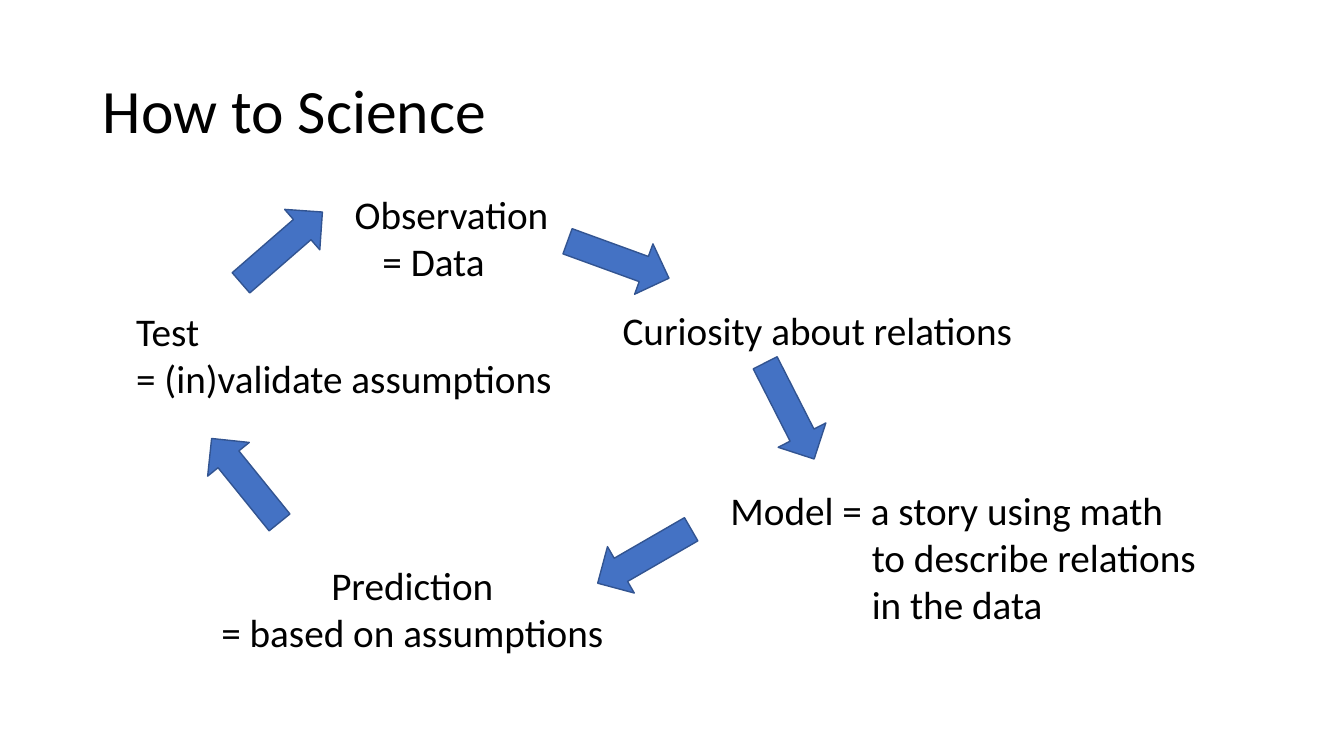
from pptx import Presentation
from pptx.dml.color import RGBColor as Rgb
from pptx.enum.shapes import MSO_SHAPE as Shape
from pptx.enum.text import MSO_ANCHOR as Anchor, MSO_AUTO_SIZE as Fit, PP_ALIGN as Align
from pptx.util import Cm, Pt

COLORS = {"text": "000000", "fill": "4472C4", "edge": "325491", "back": "FFFFFF"}


class Deck:
    """Holds the style and the current slide."""

    font = "Calibri"
    arrow_size = (2.72, 1.35)

    def __init__(self):
        self.prs = Presentation()
        self.prs.slide_width, self.prs.slide_height = Cm(33.87), Cm(19.05)
        self.slide = self.prs.slides.add_slide(self.prs.slide_layouts[5])
        back = self.slide.background.fill
        back.solid()
        back.fore_color.rgb = self.color("back")

    def color(self, name):
        return Rgb.from_string(COLORS[name])

    def style(self, frame, text, size, align):
        frame.word_wrap = True
        frame.text = text
        for para in frame.paragraphs:
            para.alignment = align
            for run in para.runs:
                run.font.name, run.font.size = self.font, Pt(size)
                run.font.color.rgb = self.color("text")

    def title(self, text, left, top, width, height):
        box = self.slide.shapes.title
        box.left, box.top, box.width, box.height = map(Cm, (left, top, width, height))
        frame = box.text_frame
        self.style(frame, text, 44, Align.LEFT)
        frame.auto_size = Fit.NONE
        frame.vertical_anchor = Anchor.MIDDLE
        frame.paragraphs[0].line_spacing = 0.9

    def label(self, text, left, top, width, height, align=Align.CENTER, **indent):
        box = self.slide.shapes.add_textbox(*map(Cm, (left, top, width, height)))
        frame = box.text_frame
        self.style(frame, text, 28, align)
        frame.auto_size = Fit.SHAPE_TO_FIT_TEXT
        for para in frame.paragraphs[1:]:
            for side, gap in indent.items():
                para._p.get_or_add_pPr().set(side, str(Cm(gap)))

    def arrow(self, left, top, angle):
        box = map(Cm, (left, top, *self.arrow_size))
        arrow = self.slide.shapes.add_shape(Shape.RIGHT_ARROW, *box)
        arrow.rotation = angle
        arrow.shadow.inherit = False
        arrow.fill.solid()
        arrow.fill.fore_color.rgb = self.color("fill")
        arrow.line.color.rgb = self.color("edge")
        arrow.line.width = Pt(1)


def main():
    deck = Deck()
    deck.title("How to Science", 2.34, 1.02, 29.21, 3.68)
    deck.label("Observation\n= Data", 7.57, 4.67, 7.62, 2.64, marR=0.91)
    deck.label("Curiosity about relations", 14.76, 7.59, 11.68, 1.45)
    deck.label("Model = a story using math\nto describe relations\nin the data",
               18.16, 12.12, 14.25, 3.84, Align.LEFT, marL=3.56)
    deck.label("Prediction\n= based on assumptions", 5.21, 14.02, 10.36, 2.64)
    deck.label("Test\n= (in)validate assumptions", 3.18, 7.62, 12.01, 2.64, Align.LEFT)
    for left, top, angle in (
        (14.22, 5.87, 20),
        (18.54, 9.68, 63),
        (14.88, 13.34, 150),
        (4.83, 11.43, 231),
        (5.74, 5.56, 319),
    ):
        deck.arrow(left, top, angle)
    deck.prs.save("out.pptx")


if __name__ == "__main__":
    main()
